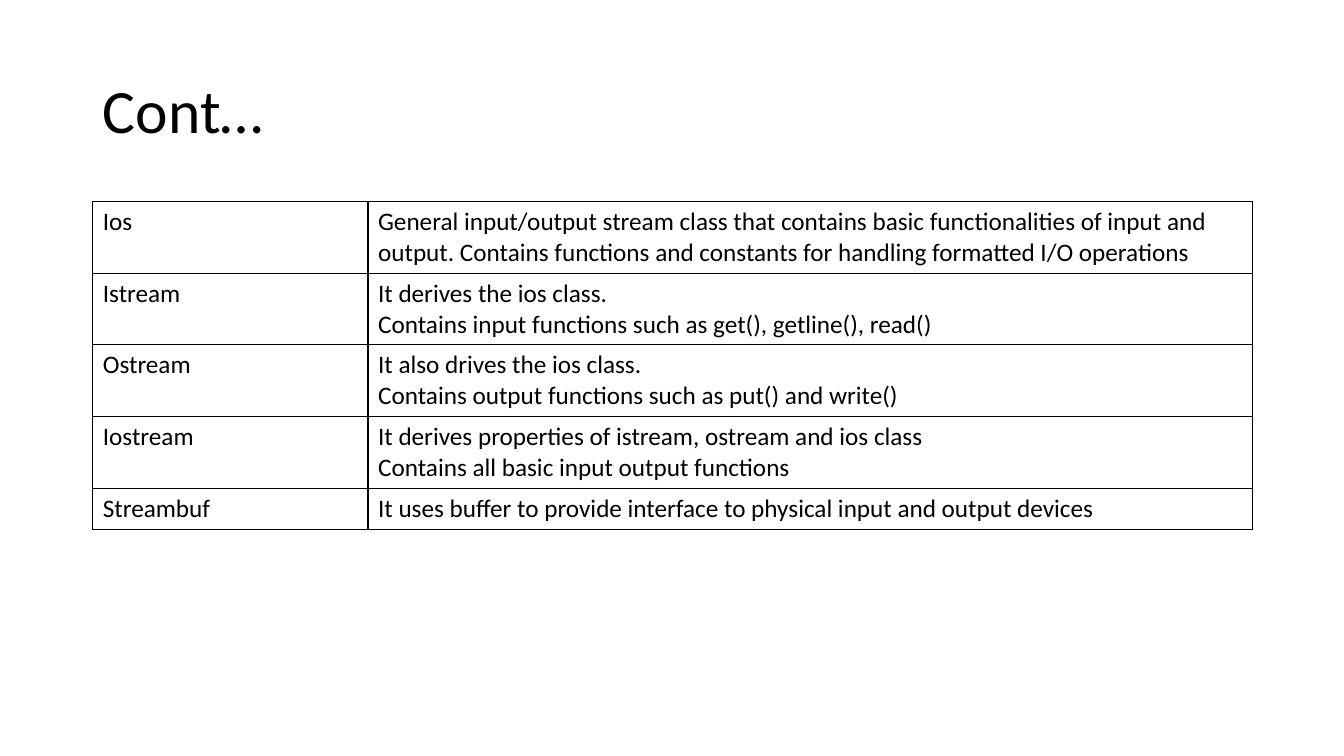
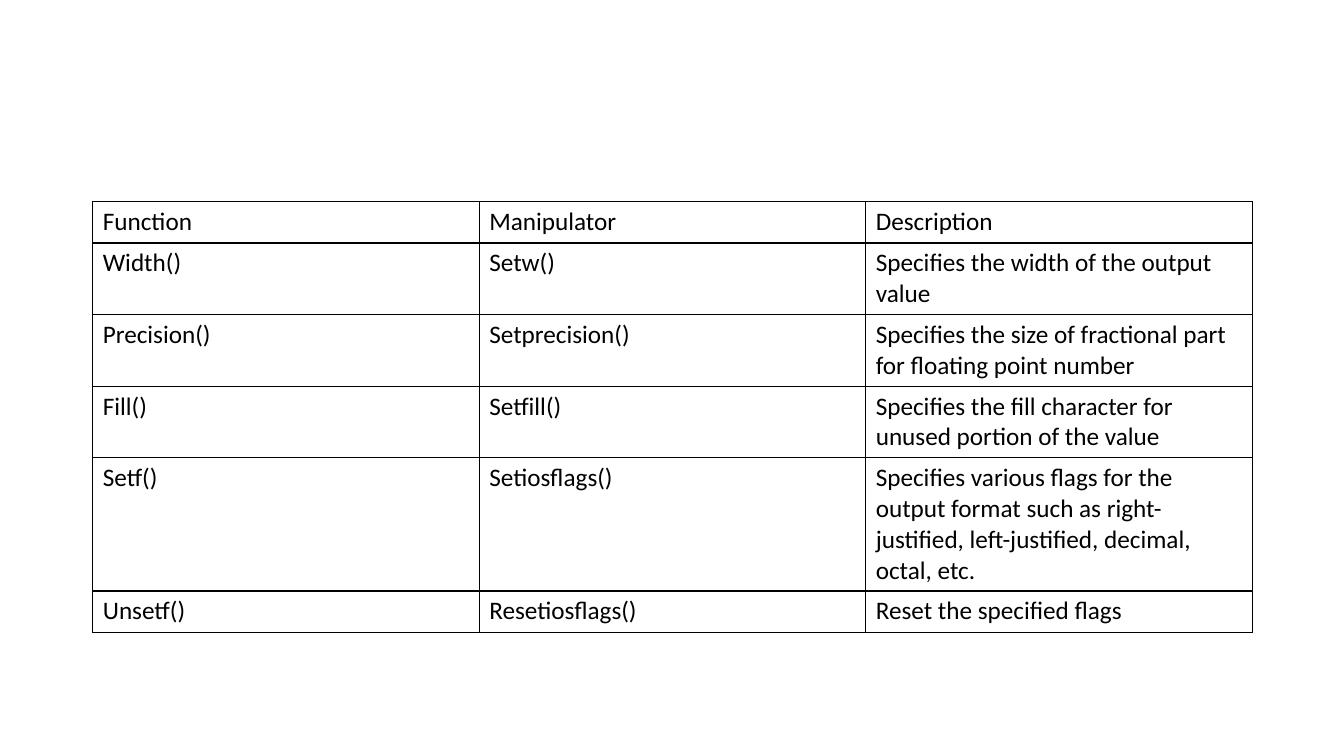
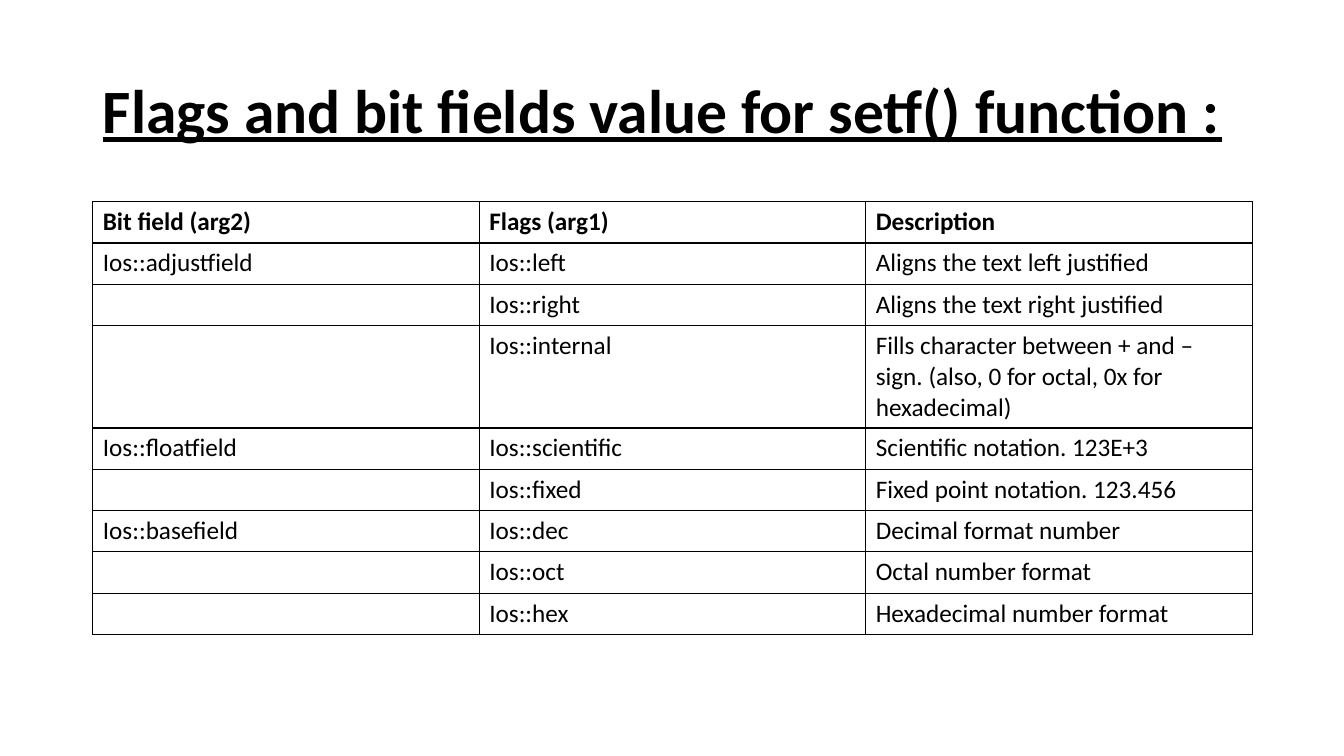
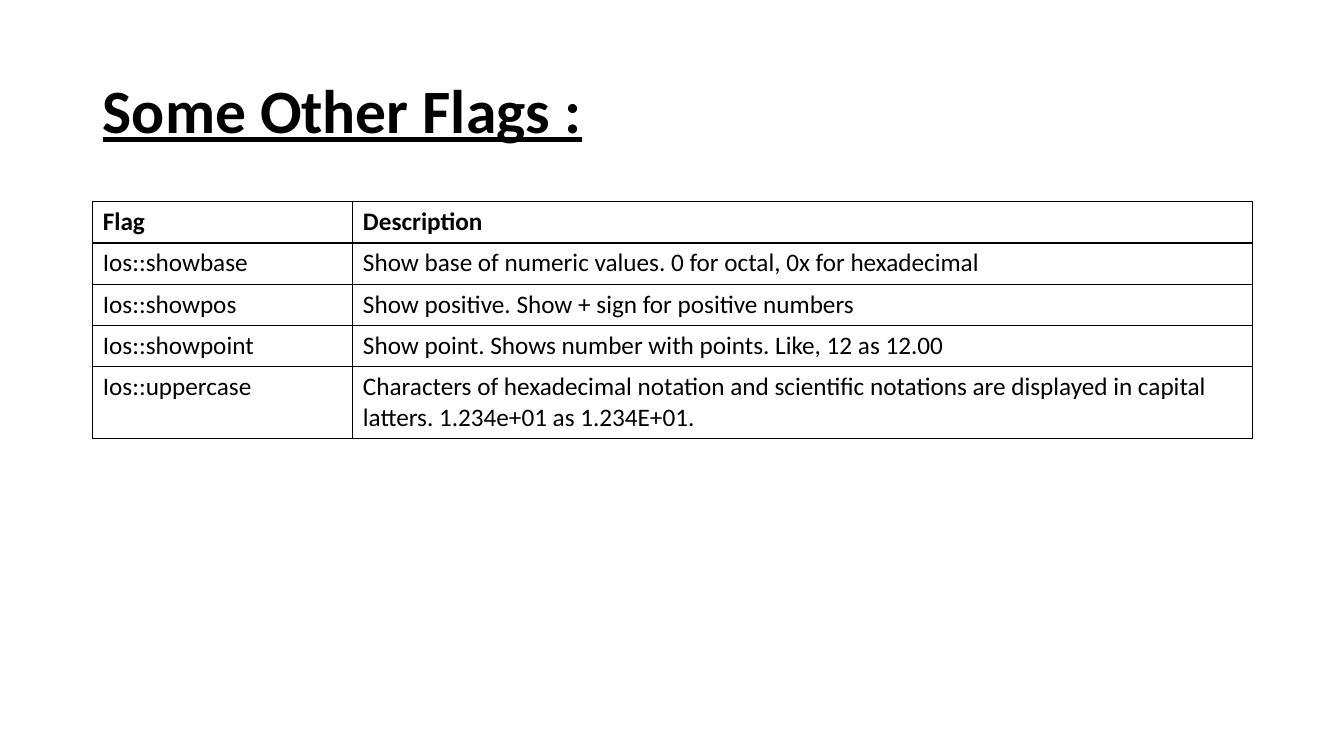
from lxml import etree
from pptx import Presentation, util as u
from pptx.dml.color import RGBColor
from pptx.enum import text
from pptx.oxml import ns

BLACK = RGBColor(0x00, 0x00, 0x00)
FONT = "Calibri"
TITLE_ONLY, BLANK = 5, 6
LEFT, WIDTH = u.Inches(0.92), u.Inches(11.5)
TITLE_TOP, TITLE_HEIGHT = u.Inches(0.4), u.Inches(1.45)
TABLE_TOP, ROW_HEIGHT = u.Inches(2), u.Inches(0.41)
BORDER = u.Pt(1)


class Deck:
    """Holds the shared style and the current page."""

    def __init__(self):
        self.deck = Presentation()
        self.deck.slide_width = u.Inches(13.33)
        self.deck.slide_height = u.Inches(7.5)
        self.page = None

    def add_page(self, title=None, strong=False):
        layout = BLANK if title is None else TITLE_ONLY
        self.page = self.deck.slides.add_slide(self.deck.slide_layouts[layout])
        if title is not None:
            self.format_title(title, strong)

    def format_title(self, title, strong):
        box = self.page.shapes.title
        box.left, box.top = LEFT, TITLE_TOP
        box.width, box.height = WIDTH, TITLE_HEIGHT
        frame = box.text_frame
        frame.text = title
        frame.word_wrap = True
        frame.auto_size = text.MSO_AUTO_SIZE.NONE
        frame.vertical_anchor = text.MSO_ANCHOR.MIDDLE
        para = frame.paragraphs[0]
        para.alignment = text.PP_ALIGN.LEFT
        para.line_spacing = 0.9
        self.style(para, 44, strong)
        para.font.underline = strong

    def style(self, para, size, bold):
        para.font.name = FONT
        para.font.size = u.Pt(size)
        para.font.bold = bold
        para.font.color.rgb = BLACK

    def add_table(self, rows, first_width=None, bold_header=False):
        """Columns share the width equally unless the first one is given."""
        count = len(rows[0])
        table = self.page.shapes.add_table(
            len(rows), count, LEFT, TABLE_TOP, WIDTH, ROW_HEIGHT * len(rows)).table
        table.first_row = table.horz_banding = False
        if first_width:
            table.columns[0].width = first_width
            for column in list(table.columns)[1:]:
                column.width = (WIDTH - first_width) // (count - 1)
        for r, row in enumerate(rows):
            for c, words in enumerate(row):
                self.fill_cell(table.cell(r, c), words, bold_header and r == 0)

    def fill_cell(self, cell, words, bold):
        cell.text = words
        for para in cell.text_frame.paragraphs:
            self.style(para, 18, bold)
        cell.fill.background()
        # Borders come before the fill in the cell properties
        properties = cell._tc.get_or_add_tcPr()
        for place, side in enumerate(("lnL", "lnR", "lnT", "lnB")):
            line = etree.Element(ns.qn("a:" + side), w=str(BORDER))
            fill = etree.SubElement(line, ns.qn("a:solidFill"))
            etree.SubElement(fill, ns.qn("a:srgbClr"), val=str(BLACK))
            properties.insert(place, line)


show = Deck()

# Stream classes
show.add_page("Cont…")
show.add_table([
    ("Ios", "General input/output stream class that contains basic functionalities of input and "
            "output. Contains functions and constants for handling formatted I/O operations"),
    ("Istream", "It derives the ios class.\n"
                "Contains input functions such as get(), getline(), read()"),
    ("Ostream", "It also drives the ios class.\n"
                "Contains output functions such as put() and write()"),
    ("Iostream", "It derives properties of istream, ostream and ios class\n"
                 "Contains all basic input output functions"),
    ("Streambuf", "It uses buffer to provide interface to physical input and output devices"),
], first_width=u.Inches(2.73))

# Functions and manipulators
show.add_page()
show.add_table([
    ("Function", "Manipulator", "Description"),
    ("Width()", "Setw()", "Specifies the width of the output value"),
    ("Precision()", "Setprecision()",
     "Specifies the size of fractional part for floating point number"),
    ("Fill()", "Setfill()", "Specifies the fill character for unused portion of the value"),
    ("Setf()", "Setiosflags()",
     "Specifies various flags for the output format such as right-justified, "
     "left-justified, decimal, octal, etc."),
    ("Unsetf()", "Resetiosflags()", "Reset the specified flags"),
])

# Flags and bit fields
show.add_page("Flags and bit fields value for setf() function :", strong=True)
show.add_table([
    ("Bit field (arg2)", "Flags (arg1)", "Description"),
    ("Ios::adjustfield", "Ios::left", "Aligns the text left justified"),
    ("", "Ios::right", "Aligns the text right justified"),
    ("", "Ios::internal",
     "Fills character between + and – sign. (also, 0 for octal, 0x for hexadecimal)"),
    ("Ios::floatfield", "Ios::scientific", "Scientific notation. 123E+3"),
    ("", "Ios::fixed", "Fixed point notation. 123.456"),
    ("Ios::basefield", "Ios::dec", "Decimal format number"),
    ("", "Ios::oct", "Octal number format"),
    ("", "Ios::hex", "Hexadecimal number format"),
], bold_header=True)

# Other flags
show.add_page("Some Other Flags :", strong=True)
show.add_table([
    ("Flag", "Description"),
    ("Ios::showbase", "Show base of numeric values. 0 for octal, 0x for hexadecimal"),
    ("Ios::showpos", "Show positive. Show + sign for positive numbers"),
    ("Ios::showpoint", "Show point. Shows number with points. Like, 12 as 12.00"),
    ("Ios::uppercase", "Characters of hexadecimal notation and scientific notations are "
                       "displayed in capital latters. 1.234e+01 as 1.234E+01."),
], first_width=u.Inches(2.58), bold_header=True)

show.deck.save("out.pptx")
